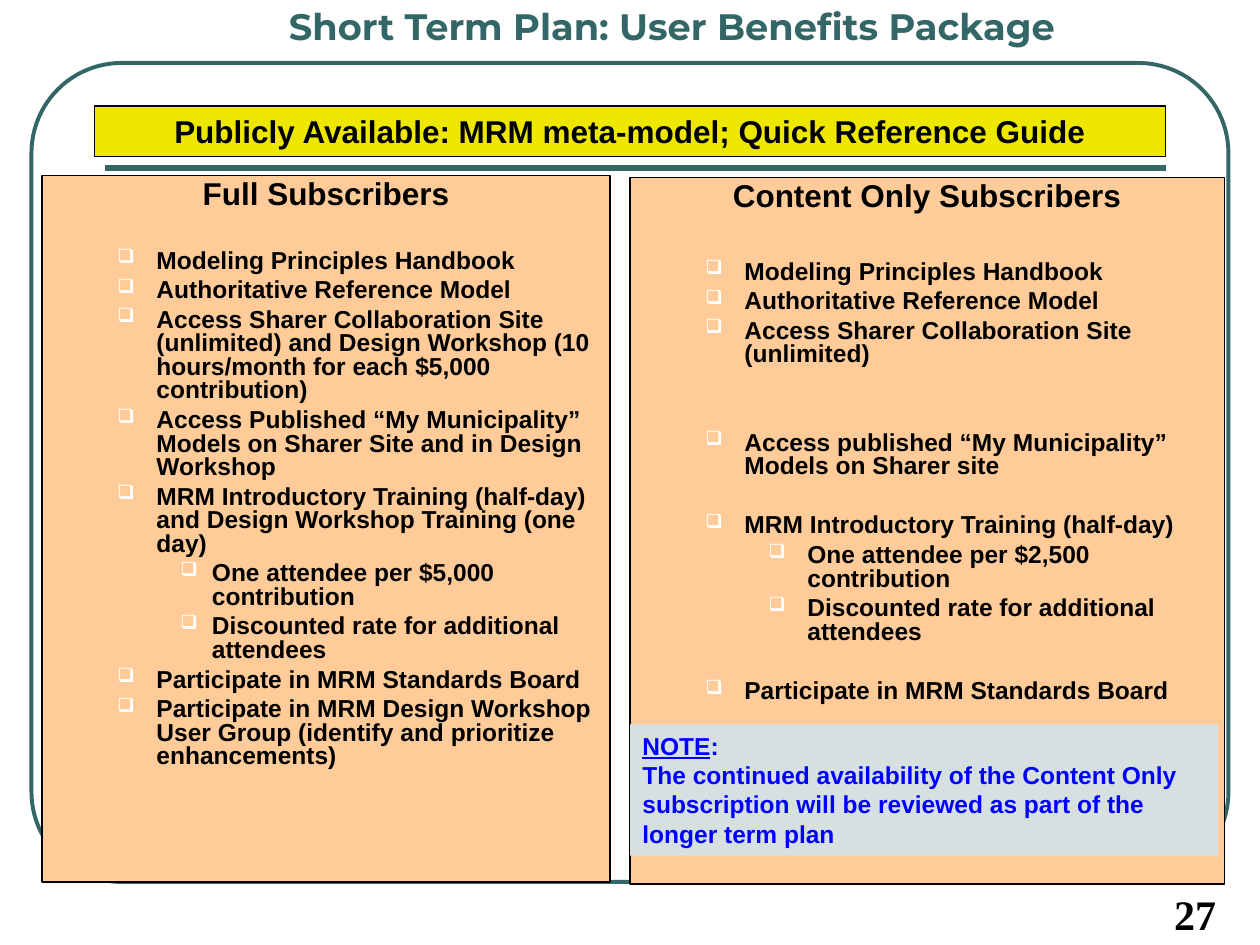
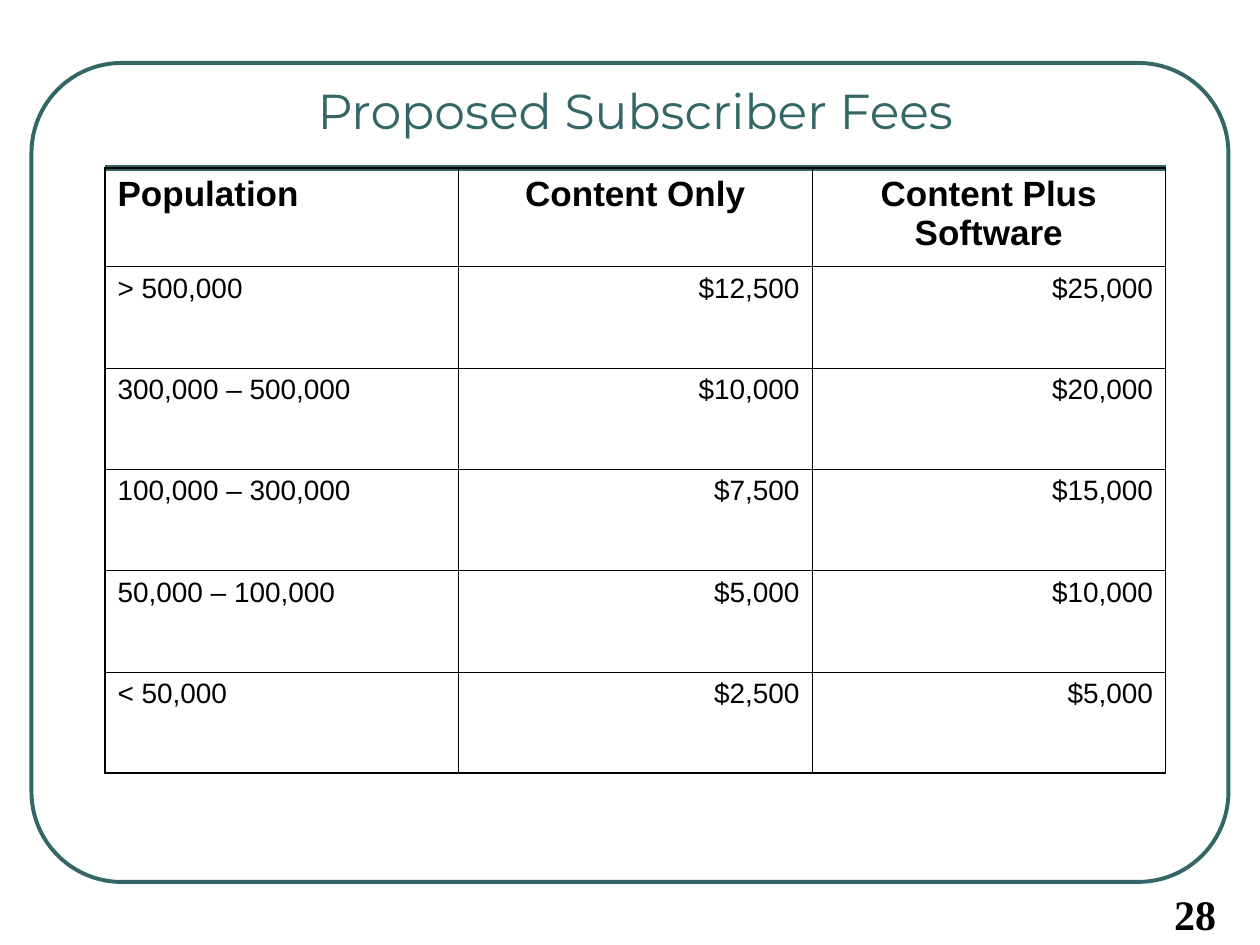
from dataclasses import dataclass

from lxml import etree
from pptx import Presentation
from pptx import util as u
from pptx.dml.color import RGBColor
from pptx.enum import shapes, text
from pptx.oxml.ns import qn

WIDE, HIGH = u.Inches(10), u.Inches(7.5)
COLS, ROWS = 120, 90
TEAL, BLACK, WHITE, BLUE = "336666", "000000", "FFFFFF", "0000FF"
PEACH, YELLOW, MIST = "FFCC99", "EEE800", "D6E0E0"
LEFT, MID, RIGHT = text.PP_ALIGN.LEFT, text.PP_ALIGN.CENTER, text.PP_ALIGN.RIGHT
THIN, THICK = 0.45, 1.08


@dataclass
class Box:
    """Place in columns and rows of the slide grid."""
    x: float
    y: float
    w: float
    h: float

    def place(self) -> tuple:
        return (across(self.x), down(self.y), across(self.w), down(self.h))


@dataclass
class Face:
    size: float
    bold: bool = True
    color: str = BLACK
    font: str = "Arial"


@dataclass
class Item:
    words: str
    gap: float = 3.5
    deep: bool = False


@dataclass
class Panel:
    box: Box
    head: str
    inset: float  # text indent of the deeper items, in inches
    hang: float
    items: list


HEAD, BODY, NOTE = Face(18), Face(14), Face(14, color=BLUE)

PANELS = [
    Panel(Box(4, 16.7, 54.1, 67.3), "Full Subscribers", 1.25, 0.25, [
        Item("Modeling Principles Handbook", 22),
        Item("Authoritative Reference Model"),
        Item("Access Sharer Collaboration Site (unlimited) and Design Workshop "
             "(10 hours/month for each $5,000 contribution)"),
        Item("Access Published “My Municipality” Models on Sharer Site "
             "and in Design Workshop"),
        Item("MRM Introductory Training (half-day) and Design Workshop "
             "Training (one day)"),
        Item("One attendee per $5,000 contribution", deep=True),
        Item("Discounted rate for additional attendees", deep=True),
        Item("Participate in MRM Standards Board"),
        Item("Participate in MRM Design Workshop User Group "
             "(identify and prioritize enhancements)"),
    ]),
    Panel(Box(60, 16.9, 56.6, 67.3), "Content Only Subscribers", 1.31, 0.31, [
        Item("Modeling Principles Handbook", 27),
        Item("Authoritative Reference Model"),
        Item("Access Sharer Collaboration Site (unlimited)"),
        Item("Access published “My Municipality” Models on Sharer site", 37),
        Item("MRM Introductory Training (half-day)", 20.5),
        Item("One attendee per $2,500 contribution", deep=True),
        Item("Discounted rate for additional attendees", deep=True),
        Item("Participate in MRM Standards Board", 20.5),
    ]),
]

FEES = [
    ("Population", "Content Only", "Content Plus Software"),
    ("> 500,000", "$12,500", "$25,000"),
    ("300,000 – 500,000", "$10,000", "$20,000"),
    ("100,000 – 300,000", "$7,500", "$15,000"),
    ("50,000 – 100,000", "$5,000", "$10,000"),
    ("< 50,000", "$2,500", "$5,000"),
]


def across(cols: float) -> int:
    return round(WIDE * cols / COLS)


def down(rows: float) -> int:
    return round(HIGH * rows / ROWS)


def paint(part, color: str) -> None:
    """Give a fill or a font format a solid colour."""
    if hasattr(part, "solid"):
        part.solid()
        part.fore_color.rgb = RGBColor.from_string(color)
    else:
        part.color.rgb = RGBColor.from_string(color)


def style(para, face: Face, align=LEFT) -> None:
    para.alignment = align
    for run in para.runs:
        run.font.size = u.Pt(face.size)
        run.font.bold = face.bold
        run.font.name = face.font
        paint(run.font, face.color)


def label(slide, box: Box, words: str, face: Face, align=MID,
          anchor=text.MSO_ANCHOR.MIDDLE) -> None:
    frame = slide.shapes.add_textbox(*box.place()).text_frame
    frame.word_wrap = True
    frame.vertical_anchor = anchor
    frame.text = words
    style(frame.paragraphs[0], face, align)


def block(slide, box: Box, fill: str = "", line: str = "", width: float = 0.75,
          kind=shapes.MSO_SHAPE.RECTANGLE):
    shape = slide.shapes.add_shape(kind, *box.place())
    shape.shadow.inherit = False
    if fill:
        paint(shape.fill, fill)
    else:
        shape.fill.background()
    if line:
        paint(shape.line, line)
        shape.line.width = u.Pt(width)
    else:
        shape.line.fill.background()
    shape.text_frame.word_wrap = True
    shape.text_frame.vertical_anchor = text.MSO_ANCHOR.TOP
    return shape


def base(deck, title: str, spot: Box, face: Face, page: int):
    """Add a slide with the shared frame, rule, title and page number."""
    slide = deck.slides.add_slide(deck.slide_layouts[6])
    frame = block(slide, Box(3, 6, 114, 78), line=TEAL, width=2.25,
                  kind=shapes.MSO_SHAPE.ROUNDED_RECTANGLE)
    frame.adjustments[0] = 0.11
    rule = slide.shapes.add_connector(shapes.MSO_CONNECTOR.STRAIGHT, across(10),
                                      down(16), across(111), down(16))
    paint(rule.line, TEAL)
    rule.line.width = u.Pt(3)
    etree.SubElement(rule._element.spPr, qn("a:effectLst"))
    label(slide, spot, title, face)
    label(slide, Box(105, 84, 12, 6), str(page),
          Face(24, font="Times New Roman"), RIGHT, text.MSO_ANCHOR.TOP)
    return slide


def bullet(para, left: float, hang: float) -> None:
    props = para._p.get_or_add_pPr()
    props.set("marL", str(u.Inches(left)))
    props.set("indent", str(-u.Inches(hang)))
    tint = etree.SubElement(props, qn("a:buClr"))
    etree.SubElement(tint, qn("a:srgbClr")).set("val", WHITE)
    etree.SubElement(props, qn("a:buSzPct")).set("val", "80000")
    etree.SubElement(props, qn("a:buChar")).set("char", "❑")


def draw_panel(slide, panel: Panel) -> None:
    frame = block(slide, panel.box, PEACH, BLACK).text_frame
    frame.text = panel.head
    style(frame.paragraphs[0], HEAD, MID)
    frame.paragraphs[0].line_spacing = 0.8
    for item in panel.items:
        para = frame.add_paragraph()
        para.text = item.words
        if item.deep:
            bullet(para, panel.inset, panel.hang)
        else:
            bullet(para, 0.81, 0.31)
        para.line_spacing = 0.8
        para.space_before = u.Pt(item.gap)
        style(para, BODY)


def draw_note(slide) -> None:
    frame = block(slide, Box(60, 69, 56, 12.5), MIST).text_frame
    frame.text = "NOTE"
    lead = frame.paragraphs[0]
    lead.add_run().text = ":"
    rest = frame.add_paragraph()
    rest.text = ("The continued availability of the Content Only subscription "
                 "will be reviewed as part of the longer term plan")
    for para in (lead, rest):
        style(para, NOTE)
    lead.runs[0].font.underline = True


def edge(cell, side: str, width: float) -> None:
    props = cell._tc.get_or_add_tcPr()
    line = etree.SubElement(props, qn(f"a:ln{side}"))
    line.set("w", str(u.Pt(width)))
    fill = etree.SubElement(line, qn("a:solidFill"))
    etree.SubElement(fill, qn("a:srgbClr")).set("val", BLACK)


def draw_fees(slide) -> None:
    rows, cols = len(FEES), len(FEES[0])
    grid = slide.shapes.add_table(rows, cols, *Box(10, 16, 101, 57.7).place()).table
    grid.first_row = grid.horz_banding = False
    for r, fees in enumerate(FEES):
        grid.rows[r].height = down(9.65 if r else 9.4)
        for c, words in enumerate(fees):
            cell = grid.cell(r, c)
            cell.text = words
            align = LEFT if c == 0 else RIGHT if r else MID
            face = Face(16, False) if r else Face(20)
            style(cell.text_frame.paragraphs[0], face, align)
            outer = {"L": c == 0, "R": c == cols - 1,
                     "T": r == 0, "B": r == rows - 1}
            for side, rim in outer.items():
                edge(cell, side, THICK if rim else THIN)
            cell.fill.background()


def main() -> None:
    deck = Presentation()
    deck.slide_width, deck.slide_height = WIDE, HIGH

    plan = base(deck, "Short Term Plan: User Benefits Package", Box(20, 0, 88, 5),
                Face(21, True, TEAL, "Montserrat"), 27)
    band = block(plan, Box(9, 10.1, 102, 4.8), YELLOW, BLACK).text_frame
    band.text = "Publicly Available: MRM meta-model; Quick Reference Guide"
    band.vertical_anchor = text.MSO_ANCHOR.MIDDLE
    style(band.paragraphs[0], HEAD, MID)
    for panel in PANELS:
        draw_panel(plan, panel)
    draw_note(plan)

    fees = base(deck, "Proposed Subscriber Fees", Box(10, 7, 101, 7),
                Face(28, False, TEAL, "Montserrat"), 28)
    draw_fees(fees)
    deck.save("out.pptx")


if __name__ == "__main__":
    main()
